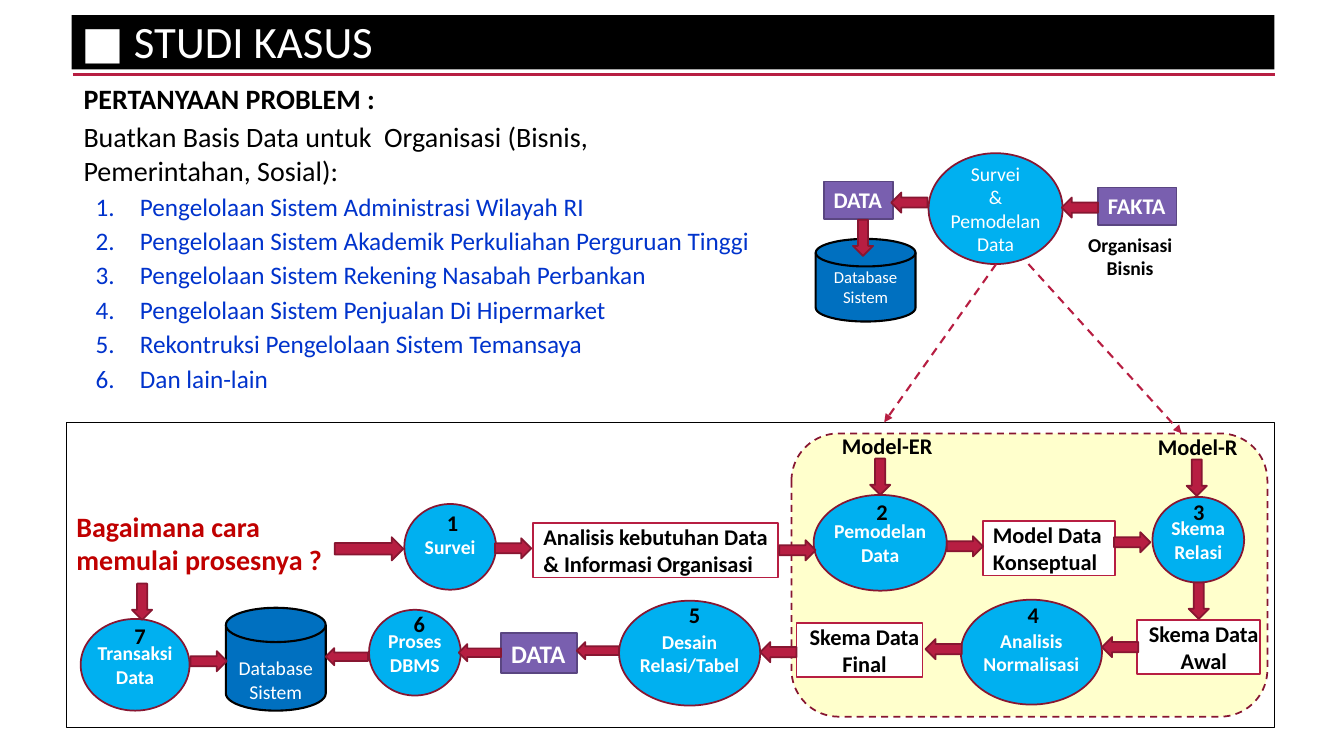
from dataclasses import dataclass

from lxml import etree
from pptx import Presentation
from pptx.dml.color import RGBColor
from pptx.enum.dml import MSO_LINE
from pptx.enum.shapes import MSO_CONNECTOR, MSO_SHAPE
from pptx.enum.text import MSO_ANCHOR, MSO_AUTO_SIZE, PP_ALIGN
from pptx.oxml.ns import qn
from pptx.util import Inches, Pt

RECT, PANEL, OVAL = MSO_SHAPE.RECTANGLE, MSO_SHAPE.ROUNDED_RECTANGLE, MSO_SHAPE.OVAL
DISK = MSO_SHAPE.FLOWCHART_MAGNETIC_DISK
LEFT_ARROW, RIGHT_ARROW, DOWN_ARROW = MSO_SHAPE.LEFT_ARROW, MSO_SHAPE.RIGHT_ARROW, MSO_SHAPE.DOWN_ARROW
STRAIGHT, DASH = MSO_CONNECTOR.STRAIGHT, MSO_LINE.DASH
TOP, MIDDLE = MSO_ANCHOR.TOP, MSO_ANCHOR.MIDDLE
LEFT, CENTER = PP_ALIGN.LEFT, PP_ALIGN.CENTER
GROW = MSO_AUTO_SIZE.SHAPE_TO_FIT_TEXT


@dataclass(frozen=True)
class Theme:
    font: str = "Calibri"
    black: str = "000000"
    white: str = "FFFFFF"
    crimson: str = "B71E42"
    maroon: str = "871631"
    process: str = "00B0F0"
    storage: str = "0070C0"
    purple: str = "795FAF"
    purple_edge: str = "5A4681"
    cream: str = "FFFFCC"
    blue: str = "0033CC"
    red: str = "C00000"
    title: int = 32
    body: int = 20
    item: int = 18
    label: int = 16
    step: int = 14
    small: int = 12
    edge: float = 1.25


THEME = Theme()
FULL_INSETS = (1, 0.5, 1, 0.5)
LABEL_INSETS = (1, 0, 0, 0)
NO_INSETS = (0, 0, 0, 0)

TOPICS = [
    "Pengelolaan Sistem Administrasi Wilayah RI",
    "Pengelolaan Sistem Akademik Perkuliahan Perguruan Tinggi",
    "Pengelolaan Sistem Rekening Nasabah Perbankan",
    "Pengelolaan Sistem Penjualan Di Hipermarket",
    "Rekontruksi Pengelolaan Sistem Temansaya",
    "Dan lain-lain",
]
# Step: text, box, left and top of its number
STEPS = [
    ("Survei", (40.1, 50, 9.1, 8.5), (43, 50.5)),
    ("Pemodelan\nData", (80.7, 49.1, 13.2, 9.5), (85.6, 49.4)),
    ("Skema\vRelasi", (114.3, 49.3, 9.1, 8.5), (117, 49.4)),
    ("Analisis\vNormalisasi", (95.3, 59.5, 14, 10.4), (100.6, 59.6)),
    ("Desain\nRelasi/Tabel", (61.4, 59.6, 14, 10.4), (67, 59.6)),
    ("Proses\vDBMS", (36.6, 60.5, 9.1, 8.5), (39.7, 60.5)),
    ("Transaksi Data", (8, 61.4, 10.8, 9.1), (12, 61.7)),
]
# Result: text, box, fill, alignment
RESULTS = [
    ("Analisis kebutuhan Data & Informasi Organisasi", (52.9, 51.9, 24.3, 5.4), None, LEFT),
    ("Model Data\nKonseptual", (97.5, 51.7, 13.1, 5.4), THEME.white, LEFT),
    ("Skema Data\nAwal", (112.8, 61.5, 12.2, 5.4), THEME.white, CENTER),
    ("Skema Data\nFinal", (79, 61.8, 12.5, 5.4), THEME.white, CENTER),
]
# Arrow centres, by direction
RIGHT_ARROWS = [(50.9, 54.4), (79.1, 54.6), (95.7, 54.2), (112.3, 53.8), (20.7, 65.6)]
LEFT_ARROWS = [(107.1, 20.6), (90.2, 20.1), (111.1, 64.2), (93.6, 64.4), (77.2, 64.7)]
DOWN_ARROWS = [(85.6, 23.6), (87.3, 47.3), (118.7, 47.4), (118.9, 59.6), (14.1, 59.7)]
THIN_LEFT_ARROWS = [(59.3, 64.55), (47.6, 64.75), (34.4, 65.15)]


def grid(*cells):
    """Tenth-of-an-inch columns and rows."""
    return [Inches(round(cell / 10, 3)) for cell in cells]


def color(code):
    return RGBColor.from_string(code)


def style_font(paragraph, size, ink, bold):
    font = paragraph.font
    font.name, font.size, font.bold = THEME.font, Pt(size), bold
    font.color.rgb = color(ink)


def write(shape, text, size, ink, bold=False, align=CENTER, anchor=TOP,
          insets=FULL_INSETS, wrap=True, grow=False):
    frame = shape.text_frame
    frame.text = text
    frame.word_wrap, frame.vertical_anchor = wrap, anchor
    (frame.margin_left, frame.margin_top,
     frame.margin_right, frame.margin_bottom) = grid(*insets)
    if grow:
        frame.auto_size = GROW
    for paragraph in frame.paragraphs:
        paragraph.alignment = align
        style_font(paragraph, size, ink, bold)
    return frame


def block(slide, preset, box, fill=None, edge=None, width=THEME.edge):
    shape = slide.shapes.add_shape(preset, *grid(*box))
    shape.shadow.inherit = False
    if fill:
        shape.fill.solid()
        shape.fill.fore_color.rgb = color(fill)
    else:
        shape.fill.background()
    if edge:
        shape.line.color.rgb = color(edge)
        shape.line.width = Pt(width)
    else:
        shape.line.fill.background()
    return shape


def rule(slide, start, end, width):
    line = slide.shapes.add_connector(STRAIGHT, *grid(*start, *end))
    line.line.color.rgb = color(THEME.crimson)
    line.line.width = Pt(width)
    etree.SubElement(line._element.spPr, qn("a:effectLst"))
    return line


def dashed_arrow(slide, start, end):
    line = rule(slide, start, end, 1.5)
    line.line.dash_style = DASH
    etree.SubElement(line.line._get_or_add_ln(), qn("a:tailEnd"), type="triangle")


def process(slide, text, box, bold=True):
    oval = block(slide, OVAL, box, THEME.process, THEME.maroon)
    write(oval, text, THEME.step, THEME.white, bold, anchor=MIDDLE, insets=NO_INSETS)


def tag(slide, text, box, size=THEME.label):
    shape = block(slide, RECT, box, THEME.purple, THEME.purple_edge)
    write(shape, text, size, THEME.white, True, LEFT, wrap=False, grow=True)


def database(slide, box, size, top_inset):
    disk = block(slide, DISK, box, THEME.storage, THEME.black, 1.5)
    write(disk, "Database\nSistem", size, THEME.white, anchor=MIDDLE,
          insets=(1, top_inset, 1, 0.5))


def label(slide, text, box, size=THEME.label, ink=THEME.black, align=CENTER):
    shape = slide.shapes.add_textbox(*grid(*box))
    write(shape, text, size, ink, True, align, insets=LABEL_INSETS, grow=True)


def arrow(slide, preset, center, length=3.6, thickness=2):
    width, height = (thickness, length) if preset == DOWN_ARROW else (length, thickness)
    box = (center[0] - width / 2, center[1] - height / 2, width, height)
    block(slide, preset, box, THEME.crimson, THEME.maroon)


def header(slide):
    rule(slide, (7.2, 7.4), (126.5, 7.4), 2.5)
    bar = block(slide, RECT, (7.1, 1.5, 119.3, 5.4), THEME.black)
    frame = write(bar, "■ STUDI KASUS", THEME.title, THEME.white, align=LEFT)
    frame.paragraphs[0].line_spacing = 0.9


def problem(slide):
    box = slide.shapes.add_textbox(*grid(7.3, 7.6, 68.1, 31.9))
    intro = ["PERTANYAAN PROBLEM :",
             "Buatkan Basis Data untuk  Organisasi (Bisnis, Pemerintahan, Sosial):"]
    frame = write(box, "\n".join(intro + TOPICS), THEME.body, THEME.black, align=LEFT)
    for paragraph in frame.paragraphs:
        paragraph.space_after = Pt(3)
    frame.paragraphs[0].font.bold = True
    for paragraph in frame.paragraphs[len(intro):]:
        properties = paragraph._p.get_or_add_pPr()
        properties.set("marL", str(Inches(0.56)))
        properties.set("indent", str(Inches(-0.44)))
        numbering = etree.Element(qn("a:buAutoNum"), type="arabicPeriod")
        properties.find(qn("a:defRPr")).addprevious(numbering)
        style_font(paragraph, THEME.item, THEME.blue, False)


def overview(slide):
    tag(slide, "FAKTA", (108.9, 18.6, 7.8, 3.7))
    process(slide, "Survei\n& Pemodelan Data", (92.1, 15.2, 13.3, 11), bold=False)
    tag(slide, "DATA", (81.7, 18, 6.9, 3.7))
    database(slide, (80.9, 23.7, 9.9, 8.2), THEME.small, 0.5)
    label(slide, "Organisasi Bisnis", (105.5, 23.1, 12.2, 4.7), THEME.step)


def workflow(slide):
    label(slide, "Bagaimana cara memulai prosesnya ?", (6.6, 50.5, 26.6, 6.7),
          THEME.body, THEME.red, LEFT)
    label(slide, "Model-ER", (81.4, 42.9, 12.2, 2.7))
    label(slide, "Model-R", (112.2, 43, 12.2, 2.7))
    for text, box, fill, align in RESULTS:
        result = block(slide, RECT, box, fill, THEME.crimson)
        write(result, text, THEME.label, THEME.black, True, align,
              insets=LABEL_INSETS, grow=True)
    tag(slide, "DATA", (49.7, 62.8, 7.5, 4), THEME.item)
    database(slide, (22.4, 60.3, 9.9, 10.2), THEME.step, 2.9)
    for number, (text, box, corner) in enumerate(STEPS, 1):
        process(slide, text, box)
        label(slide, str(number), (*corner, 2.8, 2.7))


def arrows(slide):
    arrow(slide, RIGHT_ARROW, (36.6, 54.45), 6.8, 2.3)
    for preset, centers in ((RIGHT_ARROW, RIGHT_ARROWS), (LEFT_ARROW, LEFT_ARROWS),
                            (DOWN_ARROW, DOWN_ARROWS)):
        for center in centers:
            arrow(slide, preset, center)
    for center in THIN_LEFT_ARROWS:
        arrow(slide, LEFT_ARROW, center, 4.2, 1.7)


def main():
    deck = Presentation()
    deck.slide_width, deck.slide_height = Inches(13.33), Inches(7.5)
    slide = deck.slides.add_slide(deck.slide_layouts[6])
    # Title and question
    header(slide)
    problem(slide)
    # Modelling panel behind the workflow
    panel = block(slide, PANEL, (78.5, 43, 47.2, 28.1), THEME.cream, THEME.maroon)
    panel.line.dash_style = DASH
    # Diagrams and their links
    overview(slide)
    workflow(slide)
    arrows(slide)
    block(slide, RECT, (6.6, 41.9, 119.8, 30.2), edge=THEME.black, width=0.25)
    dashed_arrow(slide, (98.8, 26.2), (87.7, 41.9))
    dashed_arrow(slide, (102, 26.2), (117.2, 43))
    deck.save("out.pptx")


if __name__ == "__main__":
    main()
